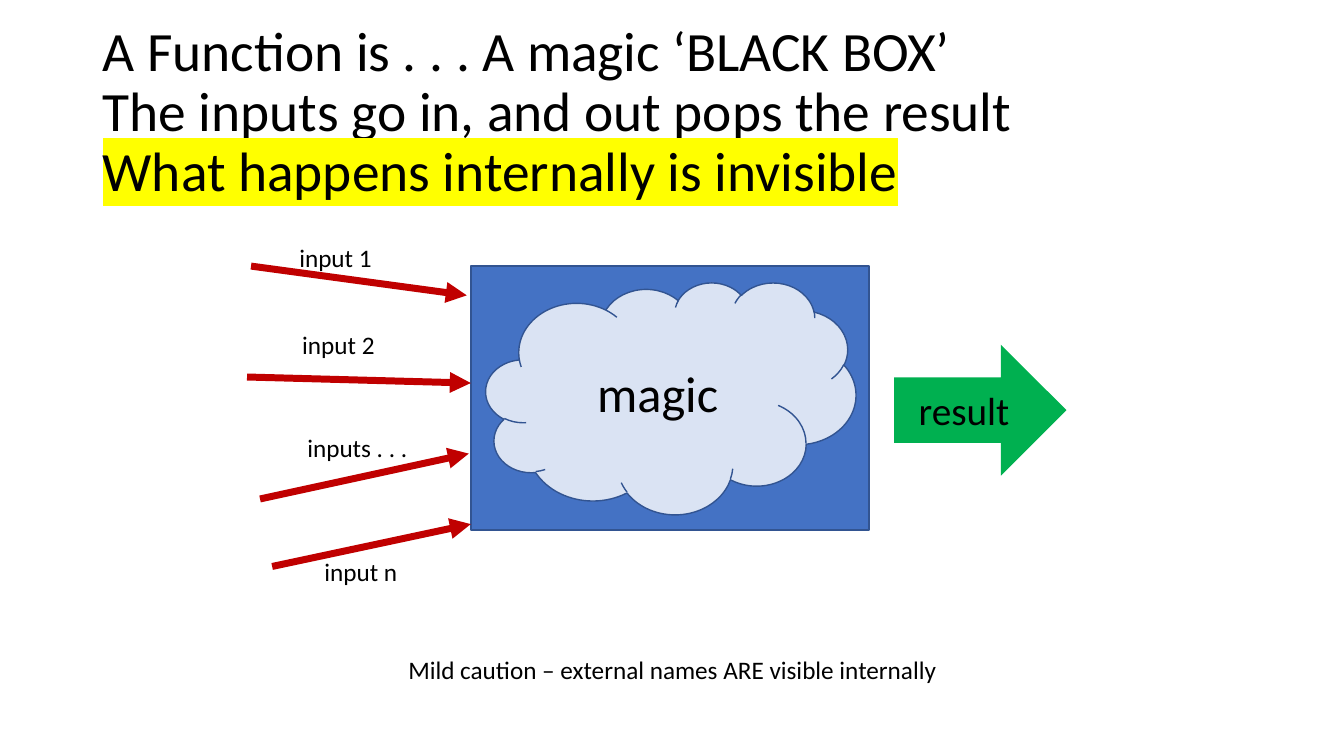
import pptx
import pptx.dml.color
import pptx.enum.shapes
import pptx.enum.text
import pptx.oxml
import pptx.oxml.ns
import pptx.util
from lxml import etree

SHAPE = pptx.enum.shapes.MSO_SHAPE
ALIGN = pptx.enum.text.PP_ALIGN
ANCHOR = pptx.enum.text.MSO_ANCHOR
qn = pptx.oxml.ns.qn


def colour(hex_text):
    return pptx.dml.color.RGBColor.from_string(hex_text)


class BlackBoxSlide:
    """Style and slide; all lengths are percentages of the slide's size."""

    FONT, INK, OUTLINE, INPUT = "Calibri", "000000", "325491", "C00000"

    def __init__(self, deck):
        self.width, self.height = deck.slide_width, deck.slide_height
        self.slide = deck.slides.add_slide(deck.slide_layouts[6])

    def place(self, x, y):
        return round(self.width * x / 100), round(self.height * y / 100)

    def style(self, paragraph, size, align):
        paragraph.alignment = align
        font = paragraph.font
        font.name, font.size = self.FONT, pptx.util.Pt(size)
        font.color.rgb = colour(self.INK)

    def text(self, x, y, w, h, words="", size=18, align=ALIGN.LEFT, wrap=True):
        box = self.slide.shapes.add_textbox(*self.place(x, y), *self.place(w, h))
        frame = box.text_frame
        frame.word_wrap = wrap
        frame.auto_size = pptx.enum.text.MSO_AUTO_SIZE.SHAPE_TO_FIT_TEXT
        frame.text = words
        self.style(frame.paragraphs[0], size, align)
        return frame

    def title(self, x, y, w, h, lines, marked):
        frame = self.text(x, y, w, h, size=39.6)
        frame.auto_size = pptx.enum.text.MSO_AUTO_SIZE.NONE
        frame.vertical_anchor = ANCHOR.MIDDLE
        heading = frame.paragraphs[0]
        heading.line_spacing = 0.9
        for line in lines:
            heading.add_run().text = line
            heading.add_line_break()
        run = heading.add_run()
        run.text = marked
        # Highlight behind the last line
        highlight = etree.SubElement(run.font._element, qn("a:highlight"))
        etree.SubElement(highlight, qn("a:srgbClr"), val="FFFF00")

    def shape(self, kind, x, y, w, h, fill, outline=None, words="", size=18):
        part = self.slide.shapes.add_shape(kind, *self.place(x, y), *self.place(w, h))
        part.shadow.inherit = False
        part.fill.solid()
        part.fill.fore_color.rgb = colour(fill)
        if outline:
            part.line.color.rgb = colour(outline)
            part.line.width = pptx.util.Pt(1)
        else:
            part.line.fill.background()
        if words:
            part.text_frame.text = words
            part.text_frame.vertical_anchor = ANCHOR.MIDDLE
            self.style(part.text_frame.paragraphs[0], size, ALIGN.CENTER)

    def arrow(self, start, end):
        link = self.slide.shapes.add_connector(
            pptx.enum.shapes.MSO_CONNECTOR.STRAIGHT, *self.place(*start), *self.place(*end))
        link.line.color.rgb = colour(self.INPUT)
        link.line.width = pptx.util.Pt(5)
        etree.SubElement(link.line._get_or_add_ln(), qn("a:tailEnd"), type="triangle")
        etree.SubElement(link._element.spPr, qn("a:effectLst"))


def main():
    deck = pptx.Presentation()
    deck.slide_width, deck.slide_height = pptx.util.Inches(13.33), pptx.util.Inches(7.5)
    page = BlackBoxSlide(deck)

    # Title
    page.title(6.9, 5.33, 86.25, 19.33,
               ["A Function is . . . A magic ‘BLACK BOX’",
                "The inputs go in, and out pops the result"],
               "What happens internally is invisible")

    # The box and the magic inside it
    page.shape(SHAPE.RECTANGLE, 35.03, 35.2, 29.62, 34.93, "4472C4", page.OUTLINE)
    page.shape(SHAPE.CLOUD, 36.15, 37.33, 27.53, 30.67, "DAE3F3", page.OUTLINE, "magic", 36)

    # Inputs: label, its place and width, arrow start and end
    inputs = [
        ("input 1", (21.53, 31.33), 6.98, (18.68, 35.2), (34.73, 39.07)),
        ("input 2", (21.75, 42.93), 6.98, (18.38, 49.87), (35.03, 50.67)),
        ("inputs . . .", (22.13, 56.53), 9.9, (19.35, 66), (34.88, 60)),
        ("input n", (23.4, 72.93), 6.98, (20.25, 74.93), (35.03, 69.33)),
    ]
    for label, corner, width, start, end in inputs:
        page.arrow(start, end)
        page.text(*corner, width, 5.33, label, wrap=False)

    # Result
    page.shape(SHAPE.RIGHT_ARROW, 66.53, 45.6, 12.82, 17.33, "00B050", words="result", size=28)

    # Caution
    page.text(26.48, 85.87, 47.1, 5.33,
              "Mild caution – external names ARE visible internally", align=ALIGN.CENTER)

    deck.save("out.pptx")


if __name__ == "__main__":
    main()
